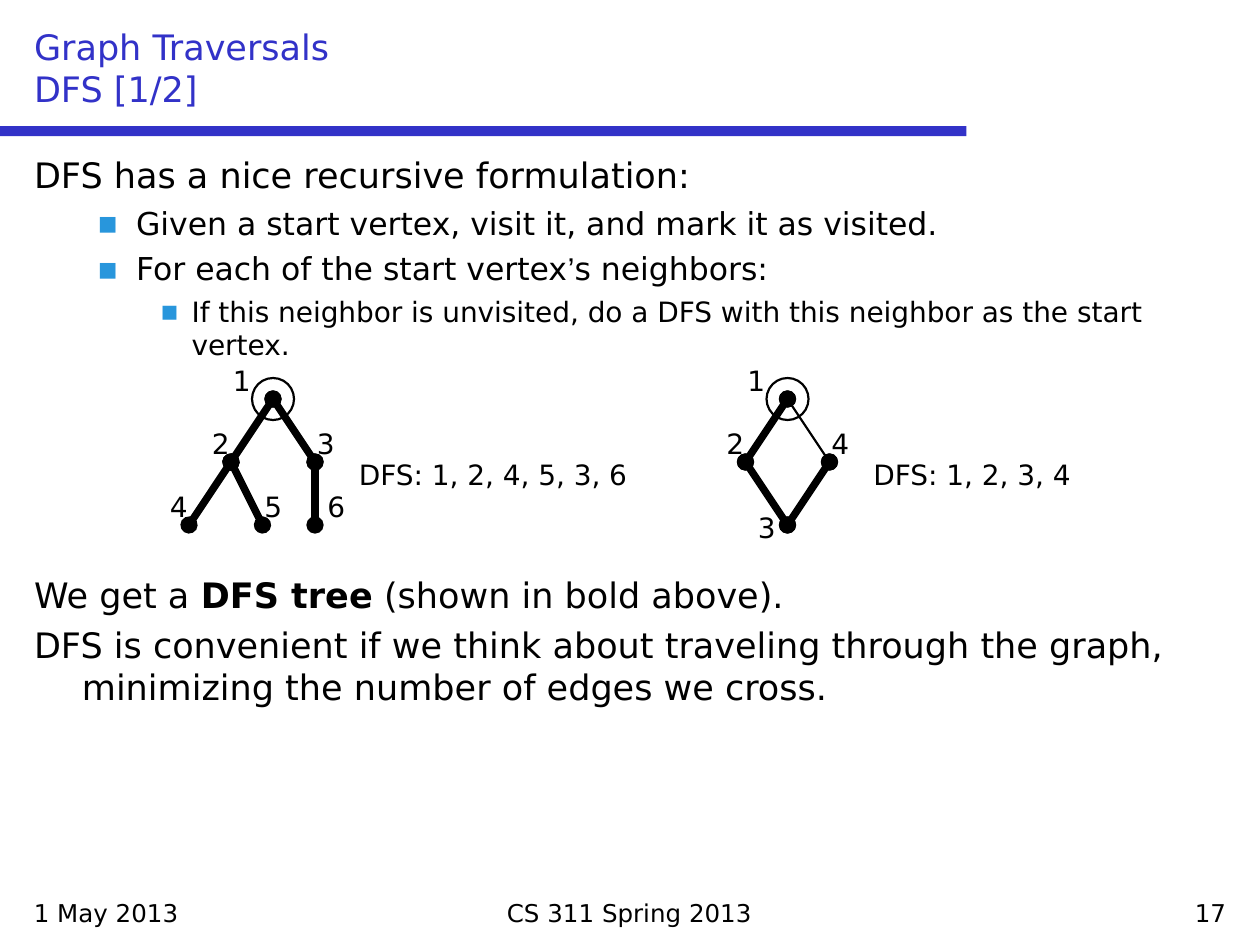
"""Build a slide on depth-first search with two example graphs."""
from dataclasses import dataclass

from lxml import etree
from pptx import Presentation
from pptx.dml.color import RGBColor
from pptx.enum.shapes import MSO_CONNECTOR, MSO_SHAPE
from pptx.enum.text import MSO_ANCHOR, MSO_AUTO_SIZE, PP_ALIGN
from pptx.oxml.ns import qn
from pptx.util import Inches, Pt

LEFT, CENTER, RIGHT = PP_ALIGN.LEFT, PP_ALIGN.CENTER, PP_ALIGN.RIGHT
TOP, BOTTOM = MSO_ANCHOR.TOP, MSO_ANCHOR.BOTTOM
NO_FIT = MSO_AUTO_SIZE.NONE
STRAIGHT = MSO_CONNECTOR.STRAIGHT
RECTANGLE, OVAL = MSO_SHAPE.RECTANGLE, MSO_SHAPE.OVAL
FONT = "DejaVu Sans"
BLACK, INDIGO, SKY = "000000", "3232C8", "2896DC"
GRID = 1 / 12
ROOT_ROW = 38


@dataclass
class Vertex:
    """A vertex and its label offset, in grid units from the root."""
    column: int
    row: int
    label_column: int
    label_row: int = -4


@dataclass
class Graph:
    """A graph, its tree edges and its remaining edges."""
    root_column: int
    vertices: dict[str, Vertex]
    tree: list[str]
    other: list[str]
    caption: str


@dataclass
class Item:
    """A body paragraph made of (text, format) spans."""
    spans: list[tuple[str, dict]]
    level: int = 0
    before: float = 5


@dataclass
class Level:
    """The size and indents of one body level."""
    size: int
    margin: float
    indent: float


LEVELS = [Level(20, 0.38, -0.38), Level(18, 0.81, -0.31), Level(16, 1.25, -0.25)]

ITEMS = [
    Item([("DFS has a nice recursive formulation:", {})], before=0),
    Item([("Given a start vertex, visit it, and mark it as visited.", {})], 1, 4.5),
    Item([("For each of the start vertex", {}), ("’", {"font": "Arial"}),
          ("s neighbors:", {})], 1, 4.5),
    Item([("If this neighbor is unvisited, do a DFS with this neighbor "
           "as the start vertex.", {})], 2, 4),
    Item([("We get a ", {}), ("DFS tree", {"bold": True}),
          (" (shown in bold above).", {})], before=121),
    Item([("DFS is convenient if we think about traveling through the graph, "
           "minimizing the number of edges we cross.", {})]),
]

GRAPHS = [
    Graph(26, {"1": Vertex(0, 0, -5), "2": Vertex(-4, 6, -3), "3": Vertex(4, 6, -1),
               "4": Vertex(-8, 12, -3), "5": Vertex(-1, 12, -1), "6": Vertex(4, 12, 0)},
          ["12", "13", "24", "25", "36"], [], "DFS: 1, 2, 4, 5, 3, 6"),
    Graph(75, {"1": Vertex(0, 0, -5), "2": Vertex(-4, 6, -3),
               "3": Vertex(0, 12, -4, -2), "4": Vertex(4, 6, -1)},
          ["12", "23", "43"], ["14"], "DFS: 1, 2, 3, 4"),
]


def color(value: str) -> RGBColor:
    """Turn a hex string into a colour."""
    return RGBColor.from_string(value)


def add_text(para, text: str, *, size: float, font: str = FONT,
             fill: str = BLACK, bold: bool = False) -> None:
    """Add a formatted span to a paragraph."""
    span = para.add_run()
    span.text = text
    span.font.size, span.font.name, span.font.bold = Pt(size), font, bold
    span.font.color.rgb = color(fill)


def place(box, left: float, top: float, width: float, height: float, anchor=TOP):
    """Move a text shape, fix its frame and return its first paragraph."""
    box.left, box.top = Inches(left), Inches(top)
    box.width, box.height = Inches(width), Inches(height)
    frame = box.text_frame
    frame.word_wrap, frame.auto_size = True, NO_FIT
    frame.vertical_anchor = anchor
    return frame.paragraphs[0]


def add_box(page, text: str, left: float, top: float, width: float,
            height: float, *, size: float, align=LEFT) -> None:
    """Add a one-line text box."""
    box = page.shapes.add_textbox(0, 0, 0, 0)
    para = place(box, left, top, width, height)
    para.alignment = align
    add_text(para, text, size=size)


def add_item(para, item: Item) -> None:
    """Fill a body paragraph with its bullet, indents and spans."""
    level = LEVELS[item.level]
    para.level = item.level
    properties = para._p.get_or_add_pPr()
    properties.set("marL", str(Inches(level.margin)))
    properties.set("indent", str(Inches(level.indent)))
    if item.level:
        bullet_color = etree.SubElement(properties, qn("a:buClr"))
        etree.SubElement(bullet_color, qn("a:srgbClr"), val=SKY)
        etree.SubElement(properties, qn("a:buFont"), typeface=FONT)
        etree.SubElement(properties, qn("a:buChar"), char="▪")
    else:
        etree.SubElement(properties, qn("a:buNone"))
    para.alignment = LEFT
    para.space_before = Pt(item.before)
    for text, style in item.spans:
        add_text(para, text, size=level.size, **style)


def add_edge(page, graph: Graph, edge: str, width: float, dots: bool) -> None:
    """Join two vertices, with dots at the ends if asked."""
    points = []
    for name in edge:
        vertex = graph.vertices[name]
        points += [Inches((graph.root_column + vertex.column) * GRID),
                   Inches((ROOT_ROW + vertex.row) * GRID)]
    line = page.shapes.add_connector(STRAIGHT, *points)
    line.line.color.rgb, line.line.width = color(BLACK), Pt(width)
    if dots:
        for end in ("a:headEnd", "a:tailEnd"):
            etree.SubElement(line.line._get_or_add_ln(), qn(end),
                             type="oval", w="lg", len="lg")
    etree.SubElement(line._element.spPr, qn("a:effectLst"))


def add_graph(page, graph: Graph) -> None:
    """Draw a graph with its start ring, labels, bold tree and caption."""
    for edge in graph.tree + graph.other:
        add_edge(page, graph, edge, 1.25, True)
    ring = page.shapes.add_shape(
        OVAL, Inches((graph.root_column - 2) * GRID), Inches((ROOT_ROW - 2) * GRID),
        Inches(4 * GRID), Inches(4 * GRID))
    ring.shadow.inherit = False
    ring.fill.background()
    ring.line.color.rgb, ring.line.width = color(BLACK), Pt(1.25)
    for name, vertex in graph.vertices.items():
        add_box(page, name,
                (graph.root_column + vertex.column + vertex.label_column) * GRID,
                (ROOT_ROW + vertex.row + vertex.label_row) * GRID,
                4 * GRID, 0.37, size=16, align=CENTER)
    for edge in graph.tree:
        add_edge(page, graph, edge, 4.25, False)
    add_box(page, graph.caption, (graph.root_column + 7) * GRID,
            (ROOT_ROW + 5) * GRID, 2.67, 0.37, size=16)


def main() -> None:
    """Build and save the deck."""
    deck = Presentation()
    deck.slide_width, deck.slide_height = Inches(10), Inches(7.5)
    page = deck.slides.add_slide(deck.slide_layouts[1])
    title, body = page.placeholders
    heading = place(title, 0.17, 0.17, 9.67, 0.75, BOTTOM)
    heading.alignment = LEFT
    add_text(heading, "Graph Traversals", size=20, fill=INDIGO)
    heading.add_line_break()
    add_text(heading, "DFS [1/2]", size=20, fill=INDIGO)
    para = place(body, 0.17, 1.17, 9.67, 5.83)
    for index, item in enumerate(ITEMS):
        add_item(body.text_frame.add_paragraph() if index else para, item)
    bar = page.shapes.add_shape(RECTANGLE, 0, Inches(1), Inches(7.67), Inches(0.08))
    bar.shadow.inherit = False
    bar.fill.solid()
    bar.fill.fore_color.rgb = color(INDIGO)
    bar.line.fill.background()
    for text, left, width, align in [("1 May 2013", 0.17, 2.33, LEFT),
                                     ("CS 311 Spring 2013", 2.58, 4.83, CENTER),
                                     ("17", 7.5, 2.33, RIGHT)]:
        add_box(page, text, left, 7.08, width, 0.33, size=14, align=align)
    for graph in GRAPHS:
        add_graph(page, graph)
    deck.save("out.pptx")


if __name__ == "__main__":
    main()
